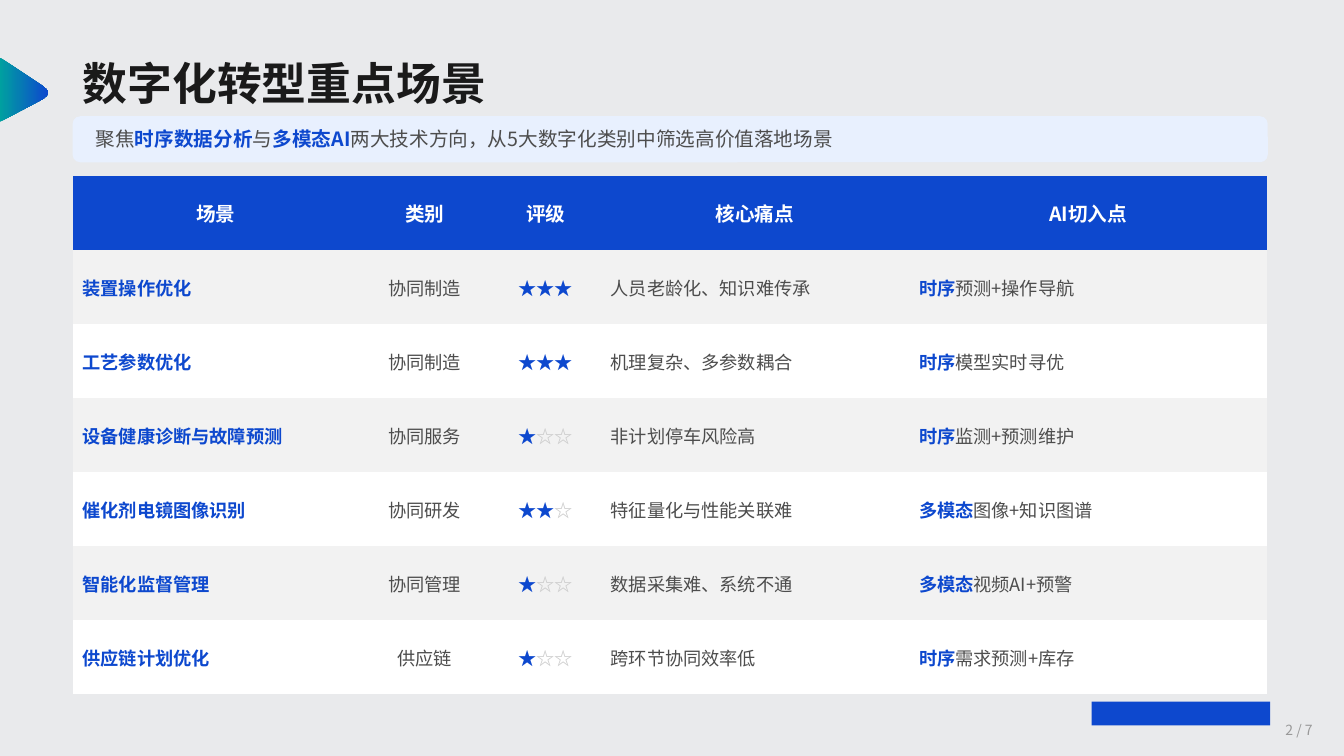
from dataclasses import dataclass

from lxml import etree
from pptx import Presentation
from pptx import util as u
from pptx.dml.color import RGBColor
from pptx.enum import shapes, text
from pptx.oxml.ns import qn


@dataclass(frozen=True)
class Theme:
    font: str = "Noto Sans CJK SC"
    page: str = "E9EAEC"
    blue: str = "0D48CE"
    teal: str = "00A0A0"
    pale: str = "E8F0FE"
    band: str = "F2F2F2"
    white: str = "FFFFFF"
    ink: str = "1A1A1A"
    grey: str = "4D4D4D"
    faint: str = "CCCCCC"
    number: str = "999999"
    title_size: int = 32
    head_size: int = 14
    cell_size: int = 13
    number_size: int = 10


THEME = Theme()
LEFT, CENTER, RIGHT = text.PP_ALIGN.LEFT, text.PP_ALIGN.CENTER, text.PP_ALIGN.RIGHT
MAX_STARS = 3
NO_TABLE_STYLE = "{2D5ABB26-0587-4C30-8999-92F81FD0307C}"


@dataclass(frozen=True)
class Span:
    words: str
    color: str = THEME.grey
    bold: bool = False


@dataclass(frozen=True)
class Box:
    left: float
    top: float
    width: float
    height: float

    def lengths(self) -> tuple[u.Cm, ...]:
        return tuple(u.Cm(side) for side in (self.left, self.top, self.width, self.height))


@dataclass(frozen=True)
class Column:
    heading: str
    width: float
    align: text.PP_ALIGN


@dataclass(frozen=True)
class Scenario:
    name: str
    category: str
    stars: int
    pain: str
    technique: str
    entry: str

    def cells(self) -> list[list[Span]]:
        rating = [Span("★" * self.stars, THEME.blue, True)]
        if self.stars < MAX_STARS:
            rating.append(Span("☆" * (MAX_STARS - self.stars), THEME.faint, True))
        return [
            [key(self.name)],
            [Span(self.category)],
            rating,
            [Span(self.pain)],
            [key(self.technique), Span(self.entry)],
        ]


def key(words: str) -> Span:
    return Span(words, THEME.blue, True)


COLUMNS = [
    Column("场景", 7.21, LEFT),
    Column("类别", 3.33, CENTER),
    Column("评级", 2.77, CENTER),
    Column("核心痛点", 7.77, LEFT),
    Column("AI切入点", 9.02, LEFT),
]
SCENARIOS = [
    Scenario("装置操作优化", "协同制造", 3, "人员老龄化、知识难传承", "时序", "预测+操作导航"),
    Scenario("工艺参数优化", "协同制造", 3, "机理复杂、多参数耦合", "时序", "模型实时寻优"),
    Scenario("设备健康诊断与故障预测", "协同服务", 1, "非计划停车风险高", "时序", "监测+预测维护"),
    Scenario("催化剂电镜图像识别", "协同研发", 2, "特征量化与性能关联难", "多模态", "图像+知识图谱"),
    Scenario("智能化监督管理", "协同管理", 1, "数据采集难、系统不通", "多模态", "视频AI+预警"),
    Scenario("供应链计划优化", "供应链", 1, "跨环节协同效率低", "时序", "需求预测+库存"),
]
SUMMARY = [
    Span("聚焦"),
    key("时序数据分析"),
    Span("与"),
    key("多模态AI"),
    Span("两大技术方向，从5大数字化类别中筛选高价值落地场景"),
]
TITLE_BOX = Box(1.83, 1.27, 15.54, 1.63)
BANNER_BOX = Box(1.83, 2.93, 30.12, 1.16)
SUMMARY_BOX = Box(2.16, 3.08, 29.46, 0.84)
TABLE_BOX = Box(1.83, 4.44, 30.1, 13.06)
MARK_BOX = Box(27.51, 17.68, 4.5, 0.6)
NUMBER_BOX = Box(31.12, 18.06, 2.21, 0.69)
ARROW = [(0, 1.45), (1.09, 2.18), (1.18, 2.26), (1.21, 2.34),
         (1.18, 2.41), (1.09, 2.49), (0, 3.07)]


def rgb(color: str) -> RGBColor:
    return RGBColor.from_string(color)


def write(frame, spans: list[Span], size: int, align: text.PP_ALIGN = LEFT) -> None:
    para = frame.paragraphs[0]
    para.alignment = align
    for span in spans:
        run = para.add_run()
        run.text = span.words
        run.font.size = u.Pt(size)
        run.font.bold = span.bold
        run.font.color.rgb = rgb(span.color)
        run.font.name = THEME.font
        east_asian = etree.SubElement(run.font._element, qn("a:ea"))
        east_asian.set("typeface", THEME.font)


def add_text(page, box: Box, spans: list[Span], size: int,
             align: text.PP_ALIGN = LEFT, wrap: bool = True) -> None:
    frame = page.shapes.add_textbox(*box.lengths()).text_frame
    frame.word_wrap = wrap
    frame.vertical_anchor = text.MSO_ANCHOR.MIDDLE
    write(frame, spans, size, align)


def add_panel(page, kind: shapes.MSO_SHAPE, box: Box, color: str) -> None:
    panel = page.shapes.add_shape(kind, *box.lengths())
    panel.shadow.inherit = False
    panel.fill.solid()
    panel.fill.fore_color.rgb = rgb(color)
    panel.line.fill.background()


def add_arrow(page) -> None:
    points = [(u.Cm(x), u.Cm(y)) for x, y in ARROW]
    builder = page.shapes.build_freeform(*points[0])
    builder.add_line_segments(points[1:], close=True)
    arrow = builder.convert_to_shape()
    arrow.shadow.inherit = False
    arrow.line.fill.background()
    arrow.fill.gradient()
    arrow.fill.gradient_angle = 0
    for stop, color in zip(arrow.fill.gradient_stops, (THEME.teal, THEME.blue)):
        stop.color.rgb = rgb(color)


def add_title(page) -> None:
    title = page.shapes.title
    title.left, title.top, title.width, title.height = TITLE_BOX.lengths()
    title.text_frame.auto_size = text.MSO_AUTO_SIZE.NONE
    title.text_frame.vertical_anchor = text.MSO_ANCHOR.MIDDLE
    write(title.text_frame, [Span("数字化转型重点场景", THEME.ink, True)], THEME.title_size)


def fill_cell(cell, spans: list[Span], size: int, align: text.PP_ALIGN, color: str) -> None:
    cell.fill.solid()
    cell.fill.fore_color.rgb = rgb(color)
    cell.vertical_anchor = text.MSO_ANCHOR.MIDDLE
    write(cell.text_frame, spans, size, align)


def add_scenarios(page) -> None:
    holder = page.shapes.add_table(len(SCENARIOS) + 1, len(COLUMNS), *TABLE_BOX.lengths())
    next(holder._element.iter(qn("a:tableStyleId"))).text = NO_TABLE_STYLE
    table = holder.table
    table.horz_banding = False
    for index, column in enumerate(COLUMNS):
        table.columns[index].width = u.Cm(column.width)
        heading = [Span(column.heading, THEME.white, True)]
        fill_cell(table.cell(0, index), heading, THEME.head_size, CENTER, THEME.blue)
    for row, scenario in enumerate(SCENARIOS, 1):
        color = THEME.band if row % 2 else THEME.white
        for index, spans in enumerate(scenario.cells()):
            fill_cell(table.cell(row, index), spans, THEME.cell_size, COLUMNS[index].align, color)


def main() -> None:
    deck = Presentation()
    deck.slide_width, deck.slide_height = u.Cm(33.87), u.Cm(19.05)
    page = deck.slides.add_slide(deck.slide_layouts[5])
    page.background.fill.solid()
    page.background.fill.fore_color.rgb = rgb(THEME.page)
    add_panel(page, shapes.MSO_SHAPE.RECTANGLE, MARK_BOX, THEME.blue)
    add_arrow(page)
    add_title(page)
    add_panel(page, shapes.MSO_SHAPE.ROUNDED_RECTANGLE, BANNER_BOX, THEME.pale)
    add_text(page, SUMMARY_BOX, SUMMARY, THEME.head_size)
    add_scenarios(page)
    add_text(page, NUMBER_BOX, [Span("2 / 7", THEME.number)], THEME.number_size, RIGHT, False)
    deck.save("out.pptx")


if __name__ == "__main__":
    main()
